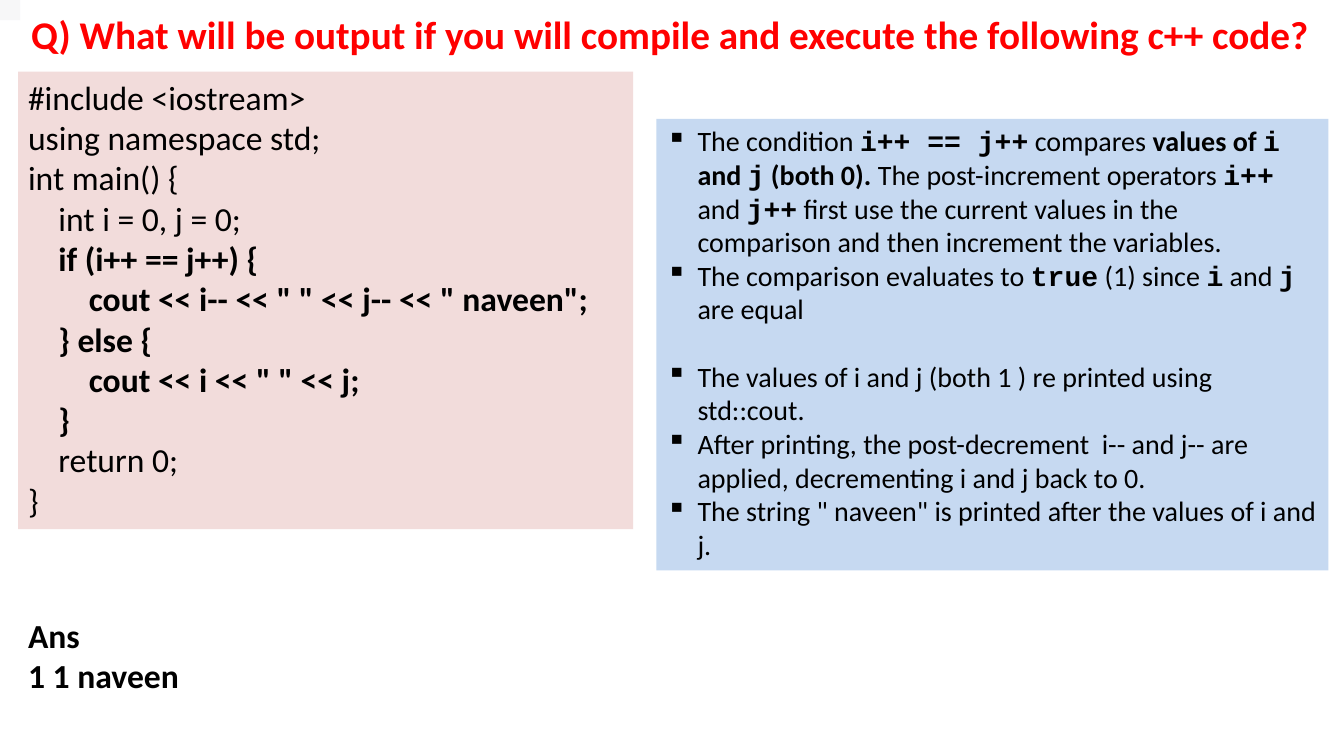
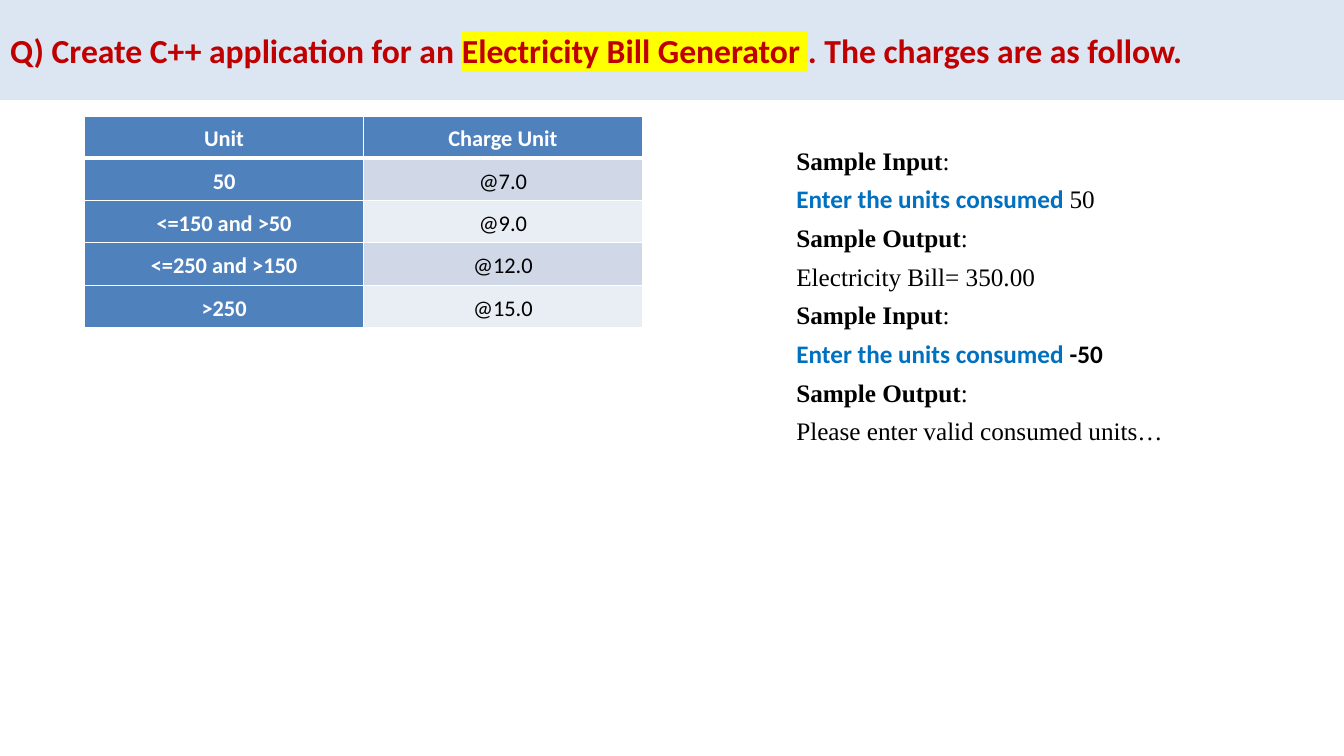
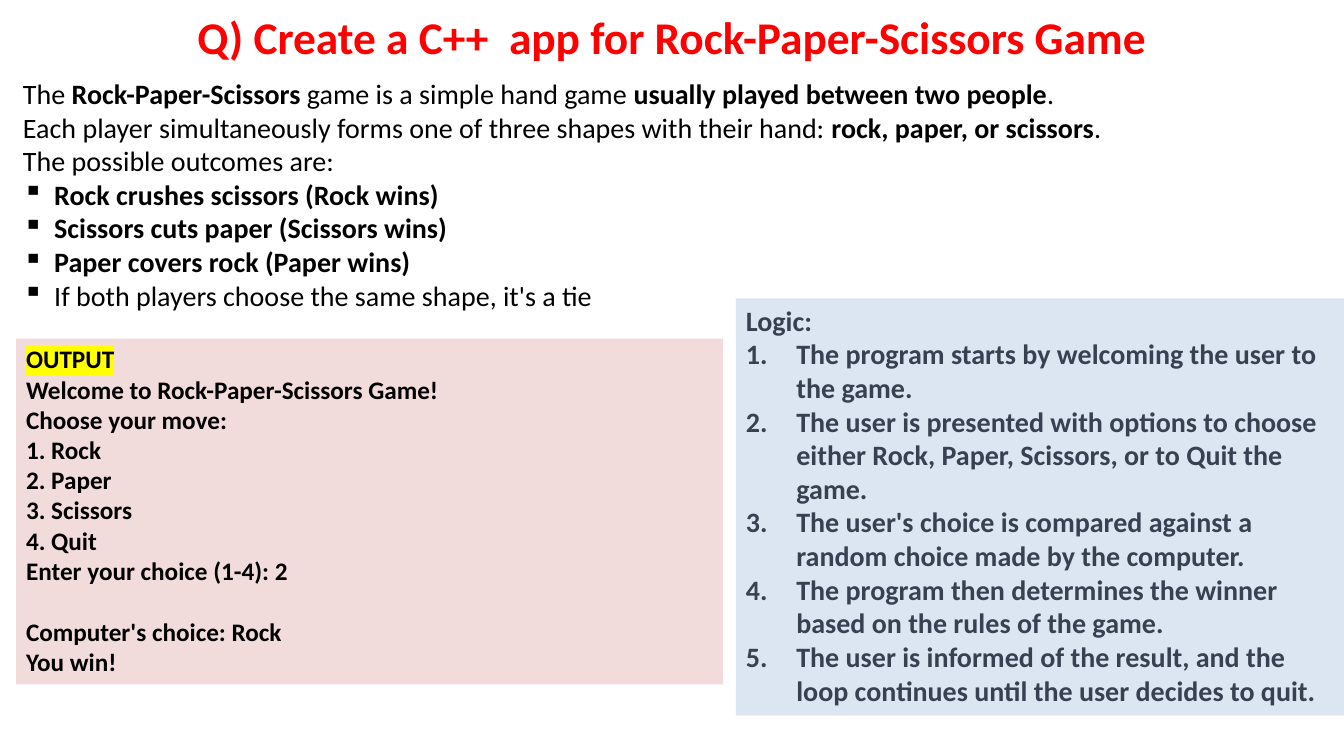
"""Build three C++ exercise slides: a code question, a billing task and a game task."""
from collections import namedtuple
from dataclasses import dataclass

from lxml import etree
from pptx import Presentation
from pptx.dml.color import RGBColor
from pptx.enum.shapes import MSO_SHAPE
from pptx.enum.text import MSO_ANCHOR, MSO_AUTO_SIZE, PP_ALIGN
from pptx.oxml.ns import qn
from pptx.util import Inches, Pt

RECTANGLE = MSO_SHAPE.RECTANGLE
TOP, MIDDLE = MSO_ANCHOR.TOP, MSO_ANCHOR.MIDDLE
LEFT, CENTER, JUSTIFY = PP_ALIGN.LEFT, PP_ALIGN.CENTER, PP_ALIGN.JUSTIFY
NO_AUTOFIT = MSO_AUTO_SIZE.NONE
TITLE_ONLY = 5
WIDTH, HEIGHT = 13.33, 7.5


@dataclass(frozen=True)
class Theme:
    """Colours, fonts and type sizes shared by the slides."""
    sans: str = "Calibri"
    mono: str = "Courier New"
    serif: str = "Times New Roman"
    ink: str = "000000"
    white: str = "FFFFFF"
    red: str = "FF0000"
    dark_red: str = "C00000"
    slate: str = "374151"
    prompt: str = "0070C0"
    marker: str = "FFFF00"
    pink: str = "F2DCDB"
    sky: str = "C6D9F1"
    pale_blue: str = "DCE6F2"
    corner: str = "F7F7F8"
    header: str = "4F81BD"
    bands: tuple = ("D0D8E8", "E9EDF4")
    cell: float = 16
    small: float = 18
    body: float = 20
    code: float = 24
    question: float = 28
    headline: float = 32.4


THEME = Theme()
Style = namedtuple("Style", "font bold color highlight", defaults=(None, None))
Paragraph = namedtuple("Paragraph", "runs bullet gap", defaults=(None, 0))

PLAIN = Style(THEME.sans, False)
BOLD = Style(THEME.sans, True)
MONO = Style(THEME.mono, True)
MARKED = Style(THEME.sans, True, None, THEME.marker)
SERIF = Style(THEME.serif, False)
SERIF_BOLD = Style(THEME.serif, True)
PROMPT = Style(THEME.sans, True, THEME.prompt)

SQUARE = ("buChar", {"char": "▪"}, 0.31)
NUMBER = ("buAutoNum", {"type": "arabicPeriod"}, 0.5)


def lines(style, *texts, bullet=None):
    """Return one single-run paragraph for each text."""
    return [Paragraph([(text, style)], bullet) for text in texts]


OUTPUT_QUESTION = [("Q) What will be output if you will compile and execute the following c++ code?", BOLD)]
CODE = [
    *lines(PLAIN, "#include <iostream>", "using namespace std;", "int main() {",
           "    int i = 0, j = 0;"),
    *lines(BOLD, "    if (i++ == j++) {",
           '        cout << i-- << " " << j-- << " naveen";',
           "    } else {",
           '        cout << i << " " << j;',
           "    }"),
    *lines(PLAIN, "    return 0;", "}"),
]
ANSWER = lines(BOLD, "Ans", "1 1 naveen")
EXPLANATION = [
    Paragraph([
        ("The condition ", PLAIN), ("i++ == j++", MONO), (" compares ", PLAIN),
        ("values of ", BOLD), ("i", MONO), (" and ", BOLD), ("j", MONO),
        (" (both 0). ", BOLD), ("The post-increment operators ", PLAIN),
        ("i++", MONO), (" and ", PLAIN), ("j++", MONO),
        (" first use the current values in the comparison and then increment the variables.", PLAIN),
    ], SQUARE),
    Paragraph([
        ("The comparison evaluates to ", PLAIN), ("true", MONO), (" (1) since ", PLAIN),
        ("i", MONO), (" and ", PLAIN), ("j", MONO), (" are equal", PLAIN),
    ], SQUARE),
    Paragraph([("The values of i and j (both 1 ) re printed using std::cout.", PLAIN)], SQUARE, 24),
    *lines(PLAIN,
           "After printing, the post-decrement  i-- and j-- are applied, decrementing i and j back to 0.",
           'The string " naveen" is printed after the values of i and j.', bullet=SQUARE),
]

BILL_QUESTION = [
    ("Q) Create C++ application for an ", BOLD),
    ("Electricity Bill Generator ", MARKED),
    (". The charges are as follow.", BOLD),
]
CHARGES = [
    ("Unit", "Charge Unit"),
    ("50", "@7.0"),
    ("<=150 and >50", "@9.0"),
    ("<=250 and >150", "@12.0"),
    (">250", "@15.0"),
]
SAMPLE_RUNS = [
    [("Sample Input", SERIF_BOLD), (":", SERIF)],
    [("Enter the units consumed ", PROMPT), ("50", SERIF)],
    [("Sample Output", SERIF_BOLD), (":", SERIF)],
    [("Electricity Bill= 350.00", SERIF)],
    [("Sample Input", SERIF_BOLD), (":", SERIF)],
    [("Enter the units consumed", PROMPT), (" -50", BOLD)],
    [("Sample Output", SERIF_BOLD), (":", SERIF)],
    [("Please enter valid consumed units…", SERIF)],
]
SAMPLES = [Paragraph(runs, gap=6 if index else 0) for index, runs in enumerate(SAMPLE_RUNS)]

GAME_QUESTION = [("Q) Create a C++  app for Rock-Paper-Scissors Game", BOLD)]
RULES = [
    Paragraph([("The ", PLAIN), ("Rock-Paper-Scissors", BOLD),
               (" game is a simple hand game ", PLAIN),
               ("usually played between two people", BOLD), (".", PLAIN)]),
    Paragraph([("Each player simultaneously forms one of three shapes with their hand: ", PLAIN),
               ("rock, paper, or scissors", BOLD), (".", PLAIN)]),
    *lines(PLAIN, "The possible outcomes are:"),
    *lines(BOLD, "Rock crushes scissors (Rock wins)", "Scissors cuts paper (Scissors wins)",
           "Paper covers rock (Paper wins)", bullet=SQUARE),
    *lines(PLAIN, "If both players choose the same shape, it's a tie", bullet=SQUARE),
]
GAME_OUTPUT = [
    *lines(MARKED, "OUTPUT"),
    *lines(BOLD, "Welcome to Rock-Paper-Scissors Game!", "Choose your move:", "1. Rock",
           "2. Paper", "3. Scissors", "4. Quit", "Enter your choice (1-4): 2"),
    Paragraph([("Computer's choice: Rock", BOLD)], gap=22),
    *lines(BOLD, "You win!"),
]
LOGIC = [
    *lines(BOLD, "Logic:"),
    *lines(BOLD,
           "The program starts by welcoming the user to the game.",
           "The user is presented with options to choose either Rock, Paper, Scissors, or to Quit the game.",
           "The user's choice is compared against a random choice made by the computer.",
           "The program then determines the winner based on the rules of the game.",
           "The user is informed of the result, and the loop continues until the user decides to quit.",
           bullet=NUMBER),
]


def inches(box):
    """Convert a box in inches to lengths."""
    return [Inches(value) for value in box]


def paint(shape, fill):
    """Give a shape a plain fill without a line."""
    shape.fill.solid()
    shape.fill.fore_color.rgb = RGBColor.from_string(fill)
    shape.line.fill.background()


def add_runs(paragraph, runs, size, color):
    """Add styled runs to a paragraph."""
    for text, style in runs:
        run = paragraph.add_run()
        run.text = text
        font = run.font
        font.name, font.size, font.bold = style.font, Pt(size), style.bold
        font.color.rgb = RGBColor.from_string(style.color or color)
        if style.highlight:
            highlight = etree.Element(qn("a:highlight"))
            etree.SubElement(highlight, qn("a:srgbClr"), val=style.highlight)
            run._r.rPr.find(qn("a:solidFill")).addnext(highlight)


def add_bullet(paragraph, bullet):
    """Give a paragraph a hanging bullet or number."""
    tag, attributes, indent = bullet
    properties = paragraph._p.get_or_add_pPr()
    properties.set("marL", str(Inches(indent)))
    properties.set("indent", str(-Inches(indent)))
    etree.SubElement(properties, qn(f"a:{tag}"), attributes)


def write(shape, paragraphs, size, color=THEME.ink, align=LEFT, anchor=TOP):
    """Fill the text frame of a shape."""
    frame = shape.text_frame
    frame.word_wrap = True
    frame.auto_size = NO_AUTOFIT
    frame.vertical_anchor = anchor
    for index, content in enumerate(paragraphs):
        paragraph = frame.add_paragraph() if index else frame.paragraphs[0]
        paragraph.alignment = align
        if content.gap:
            paragraph.space_before = Pt(content.gap)
        if content.bullet:
            add_bullet(paragraph, content.bullet)
        add_runs(paragraph, content.runs, size, color)


def add_title_slide(presentation, runs, box, size, color, align=LEFT, fill=None):
    """Add a white slide with a formatted title."""
    slide = presentation.slides.add_slide(presentation.slide_layouts[TITLE_ONLY])
    slide.background.fill.solid()
    slide.background.fill.fore_color.rgb = RGBColor.from_string(THEME.white)
    title = slide.shapes.title
    title.left, title.top, title.width, title.height = inches(box)
    if fill:
        paint(title, fill)
    write(title, [Paragraph(runs)], size, color, align, MIDDLE)
    return slide


def add_panel(slide, box, fill):
    """Add a filled rectangle."""
    panel = slide.shapes.add_shape(RECTANGLE, *inches(box))
    panel.shadow.inherit = False
    paint(panel, fill)
    return panel


def add_text(slide, box, paragraphs, size, fill=None, **options):
    """Add text in a filled panel or a plain text box."""
    shape = add_panel(slide, box, fill) if fill else slide.shapes.add_textbox(*inches(box))
    write(shape, paragraphs, size, **options)


def add_borders(cell, widths):
    """Draw white borders in the order left, right, top, bottom."""
    properties = cell._tc.get_or_add_tcPr()
    for index, (side, width) in enumerate(zip("LRTB", widths)):
        line = etree.Element(qn(f"a:ln{side}"), w=str(Pt(width)))
        fill = etree.SubElement(line, qn("a:solidFill"))
        etree.SubElement(fill, qn("a:srgbClr"), val=THEME.white)
        properties.insert(index, line)


def add_charges(slide, box):
    """Add the table of charges."""
    table = slide.shapes.add_table(len(CHARGES), len(CHARGES[0]), *inches(box)).table
    table.horz_banding = False
    for row, texts in enumerate(CHARGES):
        for column, text in enumerate(texts):
            heading = row == 0 or column == 0
            cell = table.cell(row, column)
            cell.fill.solid()
            fill = THEME.header if heading else THEME.bands[(row - 1) % 2]
            cell.fill.fore_color.rgb = RGBColor.from_string(fill)
            cell.margin_left = cell.margin_right = Inches(0.06)
            cell.margin_top = cell.margin_bottom = 0
            cell.vertical_anchor = MIDDLE
            add_borders(cell, (1, 1, 3 if row == 1 else 1, 3 if row == 0 else 1))
            paragraph = cell.text_frame.paragraphs[0]
            paragraph.alignment = CENTER
            paragraph.line_spacing = 1.15
            add_runs(paragraph, [(text, BOLD if heading else PLAIN)], THEME.cell,
                     THEME.white if heading else THEME.ink)


def build_output_slide(presentation):
    """Add the slide that asks for the output of some code."""
    slide = add_title_slide(presentation, OUTPUT_QUESTION, (0.21, 0.05, 12.91, 0.57),
                            THEME.question, THEME.red)
    add_text(slide, (0.18, 0.71, 6.1, 4.54), CODE, THEME.code, THEME.pink)
    add_text(slide, (0.18, 6.05, WIDTH / 2, 0.91), ANSWER, THEME.code)
    add_panel(slide, (0, 0, 0.2, 0.2), THEME.corner)
    add_text(slide, (6.51, 1.18, WIDTH / 2, 4.48), EXPLANATION, THEME.body, THEME.sky)


def build_bill_slide(presentation):
    """Add the slide on the electricity bill."""
    slide = add_title_slide(presentation, BILL_QUESTION, (0, 0, WIDTH, 0.99),
                            THEME.code, THEME.dark_red, fill=THEME.pale_blue)
    add_charges(slide, (0.84, 1.15, 5.53, 2.1))
    add_text(slide, (7.8, 1.39, WIDTH - 7.8, 3.11), SAMPLES, THEME.small, align=JUSTIFY)


def build_game_slide(presentation):
    """Add the slide on the hand game."""
    slide = add_title_slide(presentation, GAME_QUESTION, (0, 0.02, WIDTH, 0.69),
                            THEME.headline, THEME.red, CENTER)
    add_text(slide, (0.13, 0.71, 13.07, 2.79), RULES, THEME.body)
    add_text(slide, (0.16, 3.36, 7.01, 3.43), GAME_OUTPUT, THEME.small, THEME.pink)
    add_text(slide, (7.3, 2.96, WIDTH - 7.3, 4.14), LOGIC, THEME.body, THEME.pale_blue,
             color=THEME.slate)


def main():
    """Build and save the presentation."""
    presentation = Presentation()
    presentation.slide_width, presentation.slide_height = inches((WIDTH, HEIGHT))
    for build in (build_output_slide, build_bill_slide, build_game_slide):
        build(presentation)
    presentation.save("out.pptx")


if __name__ == "__main__":
    main()
